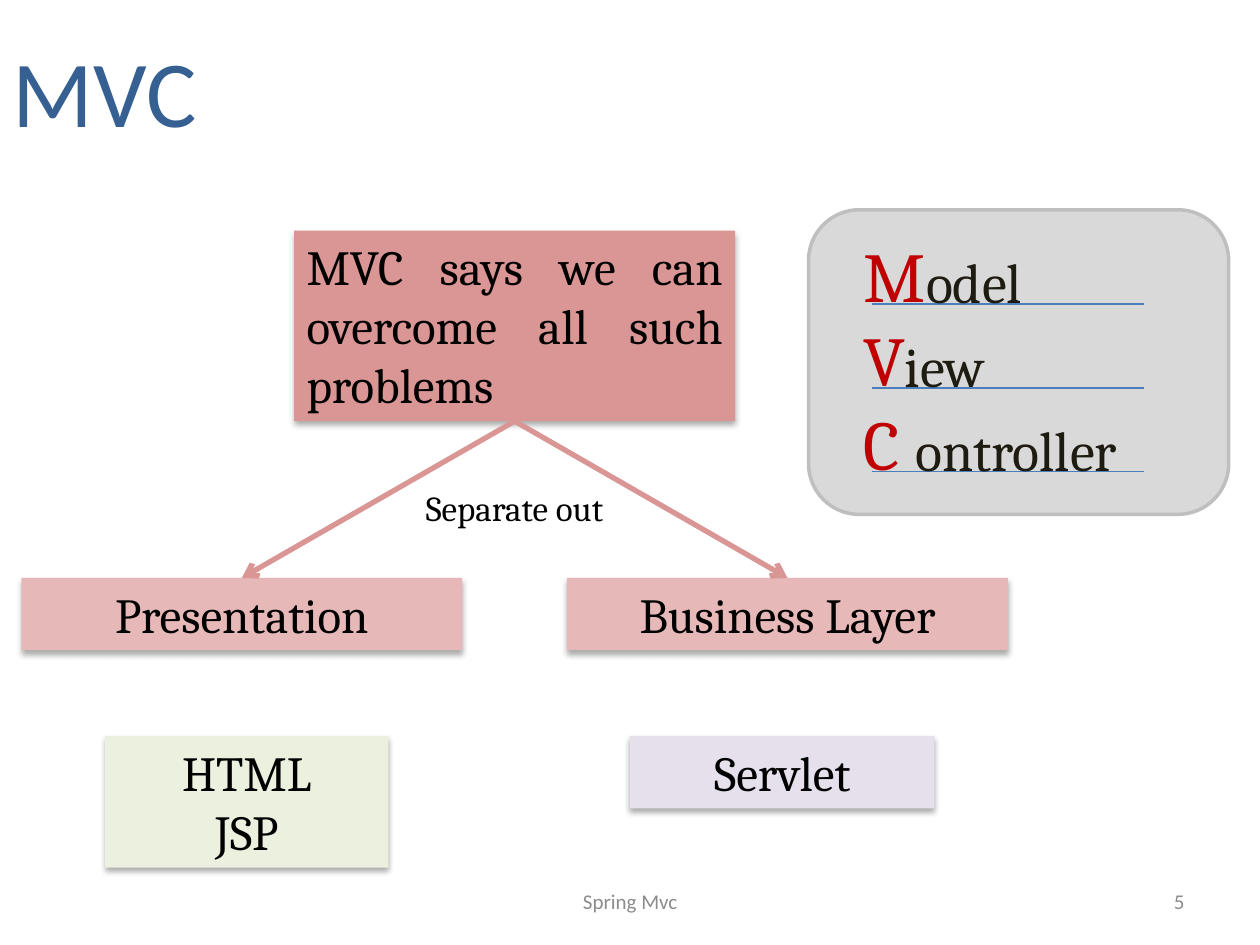
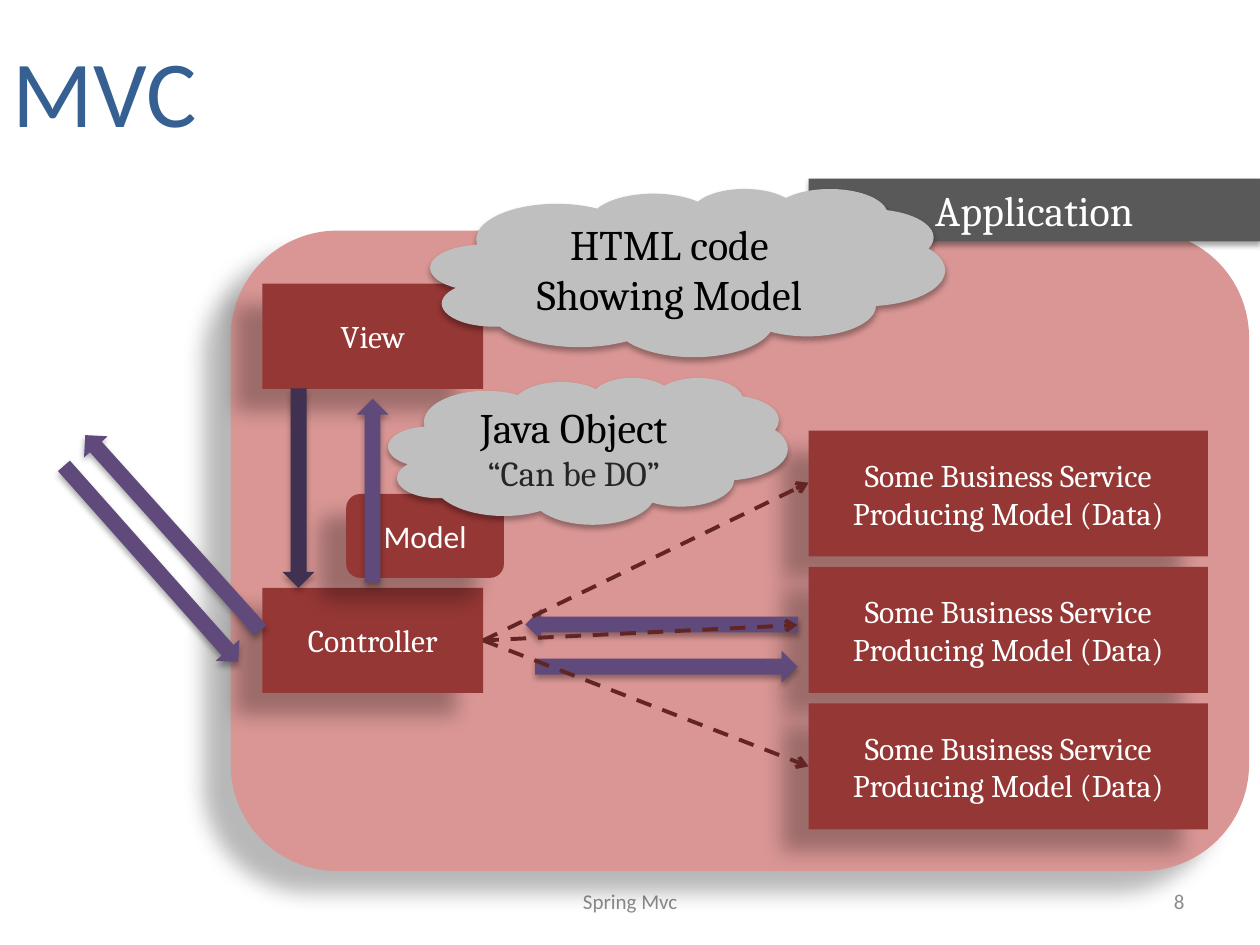
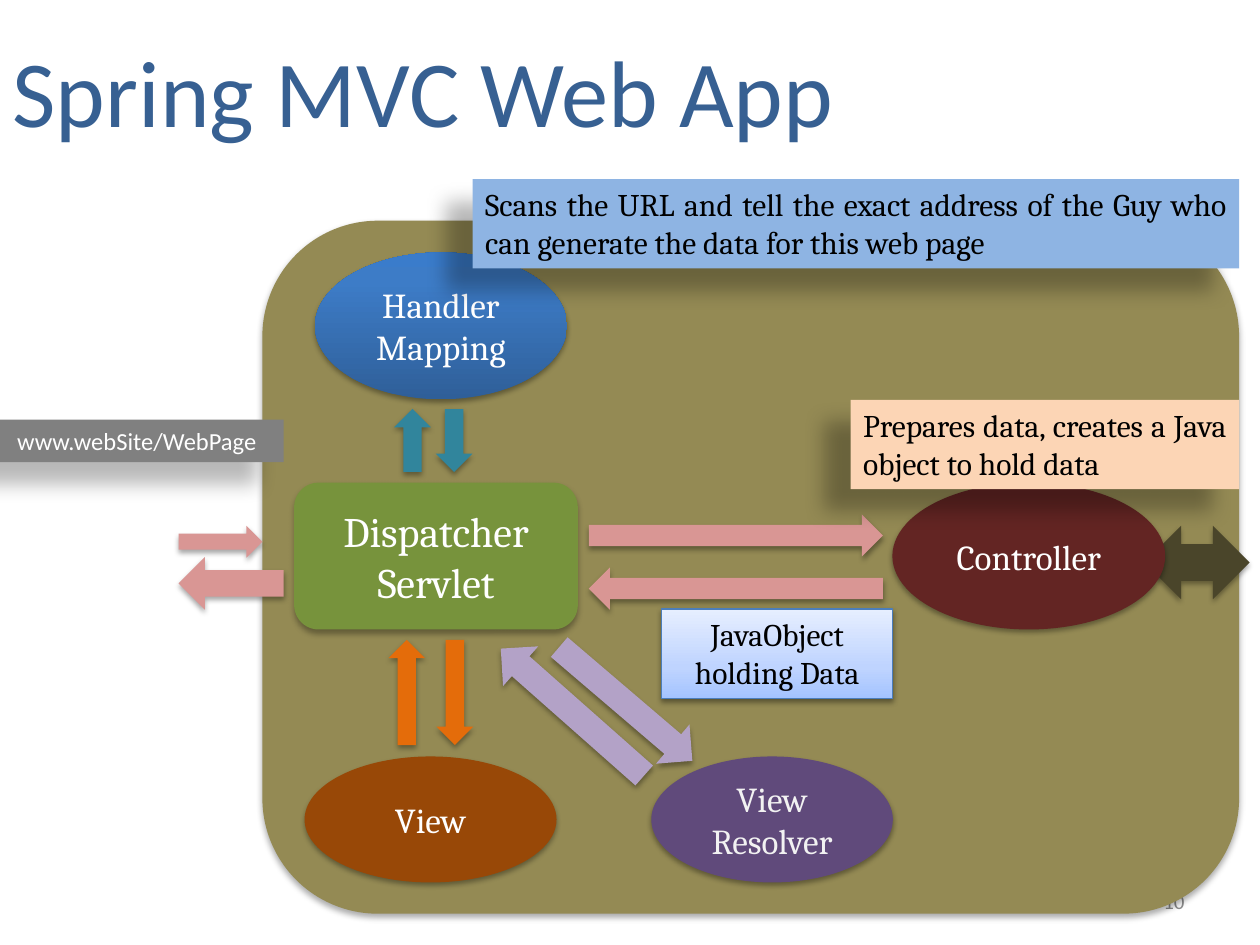
"""Builds three slides that explain the MVC pattern."""
import pptx
import pptx.dml.color
import pptx.enum.dml
import pptx.enum.shapes
import pptx.enum.text
import pptx.oxml
import pptx.oxml.ns
import pptx.util
from lxml import etree

Cm, Pt = pptx.util.Cm, pptx.util.Pt
SHAPE = pptx.enum.shapes.MSO_SHAPE
ALIGN = pptx.enum.text.PP_ALIGN
ANCHOR = pptx.enum.text.MSO_ANCHOR
FIT = pptx.enum.text.MSO_AUTO_SIZE
qn = pptx.oxml.ns.qn

COLOURS = {
    "title": "376092", "footer": "8C8C8C", "black": "000000", "white": "FFFFFF",
    "rose": "D99694", "pale rose": "E6B9B8", "pale green": "EBF1DE", "pale violet": "E6E0EC",
    "card": "D9D9D9", "card edge": "BFBFBF", "initial": "C00000", "word": "1E1C11",
    "blue line": "4B7EBC", "brick": "953735", "maroon": "632523", "violet": "604A7B",
    "dark violet": "403152", "cloud": "BFBFBF", "soft black": "262626", "band": "595959",
    "olive": "948A54", "dark olive": "4A452A", "teal": "31859C", "address": "808080",
    "off white": "F2F2F2", "lilac": "B3A2C7", "orange": "E46C0A", "brown": "984807",
    "green": "77933C", "sky": "8EB4E3", "peach": "FCD5B5",
}
SHADOWS = {
    "soft": (32, 3.5, 2.2, 90),
    "firm": (35, 3.1, 1.8, 90),
    "crisp": (38, 3.1, 1.6, 90),
    "long": (28, 11.8, 19.7, 141),
}
GRADIENTS = {
    "blue": ((0, "2F5F99"), (80, "3D7CC7"), (100, "3A7CCB")),
    "ice": ((0, "A4C4FF"), (35, "BFD4FF"), (100, "E6EEFF")),
}


def rgb(name):
    """Return the named colour."""
    return pptx.dml.color.RGBColor.from_string(COLOURS[name])


def within(box, left, top, width, height):
    """Return lengths for a part measured in cm from the corner of a box."""
    return Cm(box[0] + left), Cm(box[1] + top), Cm(width), Cm(height)


def add_child(parent, tag, **attributes):
    """Append a DrawingML element with its attributes."""
    child = etree.SubElement(parent, qn(tag))
    for key, value in attributes.items():
        child.set(key, str(value))
    return child


def cast_shadow(shape, name):
    """Replace the theme shadow by a named one, or by none."""
    shape.shadow.inherit = False
    if name:
        alpha, blur, distance, angle = SHADOWS[name]
        effects = shape._element.spPr.find(qn("a:effectLst"))
        outer = add_child(effects, "a:outerShdw", blurRad=int(Pt(blur)), dist=int(Pt(distance)),
                          dir=angle * 60000, algn="ctr", rotWithShape=0)
        colour = add_child(outer, "a:srgbClr", val=COLOURS["black"])
        add_child(colour, "a:alpha", val=alpha * 1000)


def paint(shape, fill):
    """Fill a shape with a named colour or an upward gradient."""
    if fill not in GRADIENTS:
        shape.fill.solid()
        shape.fill.fore_color.rgb = rgb(fill)
        return
    shape.fill.gradient()
    shape.fill.gradient_angle = 90
    stops = shape._element.spPr.find(qn("a:gradFill")).find(qn("a:gsLst"))
    for stop in list(stops):
        stops.remove(stop)
    for position, colour in GRADIENTS[fill]:
        add_child(add_child(stops, "a:gs", pos=position * 1000), "a:srgbClr", val=colour)


def style_para(para, size, colour, font="Cambria", align=ALIGN.CENTER):
    """Set alignment and font of one paragraph."""
    para.alignment = align
    para.font.name = font
    para.font.size = Pt(size)
    para.font.color.rgb = rgb(colour)


def write(shape, text, size, colour, font="Cambria", align=ALIGN.CENTER, anchor=ANCHOR.MIDDLE):
    """Write wrapped text, one paragraph for each line; top text fits its shape."""
    frame = shape.text_frame
    frame.word_wrap = True
    frame.vertical_anchor = anchor
    frame.auto_size = FIT.SHAPE_TO_FIT_TEXT if anchor == ANCHOR.TOP else FIT.NONE
    frame.text = text
    for para in frame.paragraphs:
        style_para(para, size, colour, font, align)


def add_block(shapes, kind, place, fill, shadow="firm", edge=None, edge_width=1, rotation=0):
    """Add a filled preset shape with a shadow and perhaps an edge."""
    shape = shapes.add_shape(kind, *place)
    shape.rotation = rotation
    cast_shadow(shape, shadow)
    paint(shape, fill)
    if edge:
        shape.line.color.rgb = rgb(edge)
        shape.line.width = Pt(edge_width)
    else:
        shape.line.fill.background()
    return shape


def add_label(shapes, place, text, size, colour, **style):
    """Add a text box."""
    label = shapes.add_textbox(*place)
    write(label, text, size, colour, **style)
    return label


def add_line(shapes, box, start, end, colour, width, arrow=False, dash=False):
    """Draw a straight line between two points of a box."""
    x, y = box[:2]
    line = shapes.add_connector(
        pptx.enum.shapes.MSO_CONNECTOR.STRAIGHT,
        Cm(x + start[0]), Cm(y + start[1]), Cm(x + end[0]), Cm(y + end[1]))
    line.line.color.rgb = rgb(colour)
    line.line.width = Pt(width)
    if dash:
        line.line.dash_style = pptx.enum.dml.MSO_LINE.DASH
    if arrow:
        add_child(line.line._get_or_add_ln(), "a:tailEnd", type="arrow")
    add_child(line._element.spPr, "a:effectLst")
    return line


def add_page(deck, title, number):
    """Add a slide with the shared title and footer."""
    page = deck.slides.add_slide(deck.slide_layouts[5])
    heading = page.shapes.title
    heading.left, heading.top, heading.width, heading.height = Cm(0), Cm(0.21), Cm(22.86), Cm(3.18)
    write(heading, title, 54, "title", font="Calibri", align=ALIGN.LEFT)
    footer = (8.68, 17.65, 15.45, 1.02)
    for left, width, text, align in ((0, 8.05, "Spring Mvc", ALIGN.CENTER),
                                     (9.53, 5.92, str(number), ALIGN.RIGHT)):
        add_label(page.shapes, within(footer, left, 0, width, 1.02), text, 12, "footer",
                  font="Calibri", align=align)
    return page


def add_layers(page, box):
    """Draw the statement that splits into two layers and their technologies."""
    shapes = page.shapes
    layer_width, layer_top = 8.89, 7
    middle = (box[2] - layer_width) / 2
    right = box[2] - layer_width
    top_text = {"anchor": ANCHOR.TOP}
    statement = add_block(shapes, SHAPE.RECTANGLE, within(box, middle, 0, layer_width, 3.84),
                          "rose", "soft")
    write(statement, "MVC says we can overcome all such problems", 28, "black",
          align=ALIGN.JUSTIFY, **top_text)
    add_label(shapes, within(box, middle, 5.03, layer_width, 1.12), "Separate out", 20, "black",
              **top_text)
    layers = []
    for left, text in ((0, "Presentation"), (right, "Business Layer")):
        layer = add_block(shapes, SHAPE.RECTANGLE, within(box, left, layer_top, layer_width, 1.46),
                          "pale rose", "soft")
        write(layer, text, 28, "black", **top_text)
        layers.append(layer)
    for left, width, height, fill, text in ((1.69, 5.71, 2.65, "pale green", "HTML\nJSP"),
                                            (12.27, 6.14, 1.46, "pale violet", "Servlet")):
        technology = add_block(shapes, SHAPE.RECTANGLE, within(box, left, 10.19, width, height),
                               fill, "soft")
        write(technology, text, 28, "black", **top_text)
    for layer in layers:
        arrow = add_line(shapes, box, (0, 0), (1, 1), "rose", 3, arrow=True)
        arrow.begin_connect(statement, 2)
        arrow.end_connect(layer, 0)


def add_acronym(page, box):
    """Draw the card that spells out the three initials."""
    shapes = page.shapes.add_group_shape().shapes
    row = 1.69
    style = {"align": ALIGN.LEFT, "anchor": ANCHOR.TOP}
    add_block(shapes, SHAPE.ROUNDED_RECTANGLE, within(box, 0, 0, box[2], box[3]), "card", None,
              "card edge", 2)
    add_label(shapes, within(box, 0.85, 0.33, 2.12, 5.38), "M\nV\nC", 40, "initial", **style)
    for index in range(3):
        height = 1.9 + index * row
        add_line(shapes, box, (1.27, height), (6.77, height), "blue line", 0.75)
    words = ((2.12, 3.6, "odel"), (1.69, 3.6, "iew"), (1.9, 5.28, "ontroller"))
    for index, (left, width, text) in enumerate(words):
        add_label(shapes, within(box, left, 0.64 + index * row, width, 1.62), text, 32, "word",
                  **style)


def add_application(page, box):
    """Draw the application with its parts, services and data flow."""
    shapes = page.shapes
    add_block(shapes, SHAPE.ROUNDED_RECTANGLE, within(box, 0, 0, box[2], box[3]), "rose", "long")
    service = "Some Business Service Producing Model (Data)"
    parts = [(0.64, 7.2, 4.45, 2.12, "Controller"), (0.64, 1.07, 4.45, 2.12, "View")]
    parts += [(11.65, 4.03 + index * 2.75, 8.05, 2.54, service) for index in range(3)]
    for *place, text in parts:
        part = add_block(shapes, SHAPE.RECTANGLE, within(box, *place), "brick", "long")
        write(part, text, 18, "white")
    model = add_block(shapes, SHAPE.ROUNDED_RECTANGLE, within(box, 2.33, 5.31, 3.18, 1.69),
                      "brick", "long")
    write(model, "Model", 18, "white", font="Calibri")

    def add_flow(kind, left, top, length, rotation=0, fill="violet"):
        """Add one slim block arrow."""
        add_block(shapes, kind, within(box, left, top, length, 0.64), fill, "soft",
                  rotation=rotation)

    def add_cloud(left, top, width, height, text):
        """Add one cloud with its text."""
        cloud = add_block(shapes, SHAPE.CLOUD, within(box, left, top, width, height), "cloud",
                          "soft")
        write(cloud, text, 24, "black")
        return cloud

    add_flow(SHAPE.LEFT_ARROW, 5.94, 7.62, 5.5)
    add_flow(SHAPE.RIGHT_ARROW, 6.14, 8.47, 5.29)
    add_flow(SHAPE.LEFT_ARROW, 1.01, 4.92, 3.7, 90)
    add_flow(SHAPE.LEFT_ARROW, -0.64, 4.87, 4.02, 270, "dark violet")
    java_cloud = add_cloud(3.18, 2.96, 8.05, 2.96, "Java Object\n“Can be DO”")
    style_para(java_cloud.text_frame.paragraphs[1], 20, "soft black")
    add_flow(SHAPE.RIGHT_ARROW, -4.25, 6.4, 5.29, 48.4)
    band = add_block(shapes, SHAPE.RECTANGLE, within(box, 11.65, -1.05, 9.1, 1.27), "band")
    write(band, "Application", 24, "white", anchor=ANCHOR.TOP)
    add_cloud(4.03, -0.85, 10.37, 3.39, "HTML code\nShowing Model")
    calls = shapes.add_group_shape().shapes
    for end in ((11.65, 5.08), (11.43, 7.95), (11.65, 10.8)):
        add_line(calls, box, (5.09, 8.26), end, "maroon", 2.25, arrow=True, dash=True)
    add_flow(SHAPE.RIGHT_ARROW, -3.81, 5.77, 5.29, 228.1)


def add_web_app(page, box):
    """Draw the dispatcher servlet and everything it talks to."""
    shapes = page.shapes

    def add_flow(left, top, length, thickness, fill, rotation=0, kind=SHAPE.LEFT_ARROW):
        """Add one block arrow."""
        add_block(shapes, kind, within(box, left, top, length, thickness), fill,
                  rotation=rotation)

    def add_role(left, top, width, height, fill, text, colour="white"):
        """Add one oval with its role."""
        role = add_block(shapes, SHAPE.OVAL, within(box, left, top, width, height), fill)
        write(role, text, 20, colour)

    def add_note(left, top, width, fill, text, align=ALIGN.JUSTIFY, shadow="long", edge=None):
        """Add one explanatory box of two lines."""
        note = add_block(shapes, SHAPE.RECTANGLE, within(box, left, top, width, 1.8), fill, shadow,
                         edge, 0.75)
        write(note, text, 18, "black", align=align, anchor=ANCHOR.TOP)

    add_block(shapes, SHAPE.ROUNDED_RECTANGLE, within(box, 0, 0, box[2], box[3]), "olive", "soft")
    add_flow(-1.69, 6.15, 1.69, 0.64, "rose", kind=SHAPE.RIGHT_ARROW)
    add_flow(2.39, 4.06, 1.27, 0.74, "teal", 90)
    address = add_block(shapes, SHAPE.RECTANGLE, within(box, -5.49, 4.01, 5.92, 0.86), "address",
                        "long")
    write(address, "www.webSite/WebPage", 14, "white", font="Calibri", anchor=ANCHOR.TOP)
    add_role(1.06, 0.64, 5.08, 2.96, "blue", "Handler Mapping")
    add_flow(3.23, 4.06, 1.27, 0.74, "teal", 270)
    add_flow(6.58, 5.92, 5.93, 0.85, "rose", 180)
    add_flow(6.58, 6.99, 5.93, 0.85, "rose")
    add_flow(17.78, 6.15, 2.12, 1.48, "dark olive", kind=SHAPE.LEFT_RIGHT_ARROW)
    add_note(8.05, 7.83, 4.66, "ice", "JavaObject holding Data", ALIGN.CENTER, "crisp",
             "blue line")
    add_role(7.84, 10.8, 4.87, 2.54, "violet", "View Resolver", "off white")
    add_flow(5.56, 9.22, 3.53, 1.04, "lilac", 220.5)
    add_flow(4.32, 9.37, 3.86, 1.07, "lilac", 41.5)
    add_flow(2.82, 9.14, 2.12, 0.74, "orange", 270)
    add_flow(1.85, 9.14, 2.12, 0.74, "orange", 90)
    add_flow(-1.69, 6.78, 2.12, 1.06, "rose", 180, SHAPE.RIGHT_ARROW)
    add_role(0.85, 10.8, 5.08, 2.54, "brown", "View")
    add_role(12.7, 5.28, 5.5, 2.96, "maroon", "Controller")
    dispatcher = add_block(shapes, SHAPE.ROUNDED_RECTANGLE, within(box, 0.64, 5.28, 5.72, 2.96),
                           "green", "soft")
    write(dispatcher, "Dispatcher Servlet", 24, "white")
    add_note(4.24, -0.84, 15.45, "sky", "Scans the URL and tell the exact address of the Guy who "
             "can generate the data for this web page")
    add_note(11.86, 3.61, 7.83, "peach", "Prepares data, creates a Java object to hold data")


def main():
    """Build and save the deck."""
    deck = pptx.Presentation()
    deck.slide_width, deck.slide_height = Cm(25.4), Cm(19.05)
    page = add_page(deck, "MVC", 5)
    add_layers(page, (0.43, 4.65, 19.89, 12.83))
    add_acronym(page, (16.3, 4.23, 8.47, 6.14))
    add_application(add_page(deck, "MVC", 8), (4.65, 4.65, 20.53, 12.91))
    add_web_app(add_page(deck, "Spring MVC Web App", 10), (5.29, 4.45, 19.69, 13.97))
    deck.save("out.pptx")


main()
